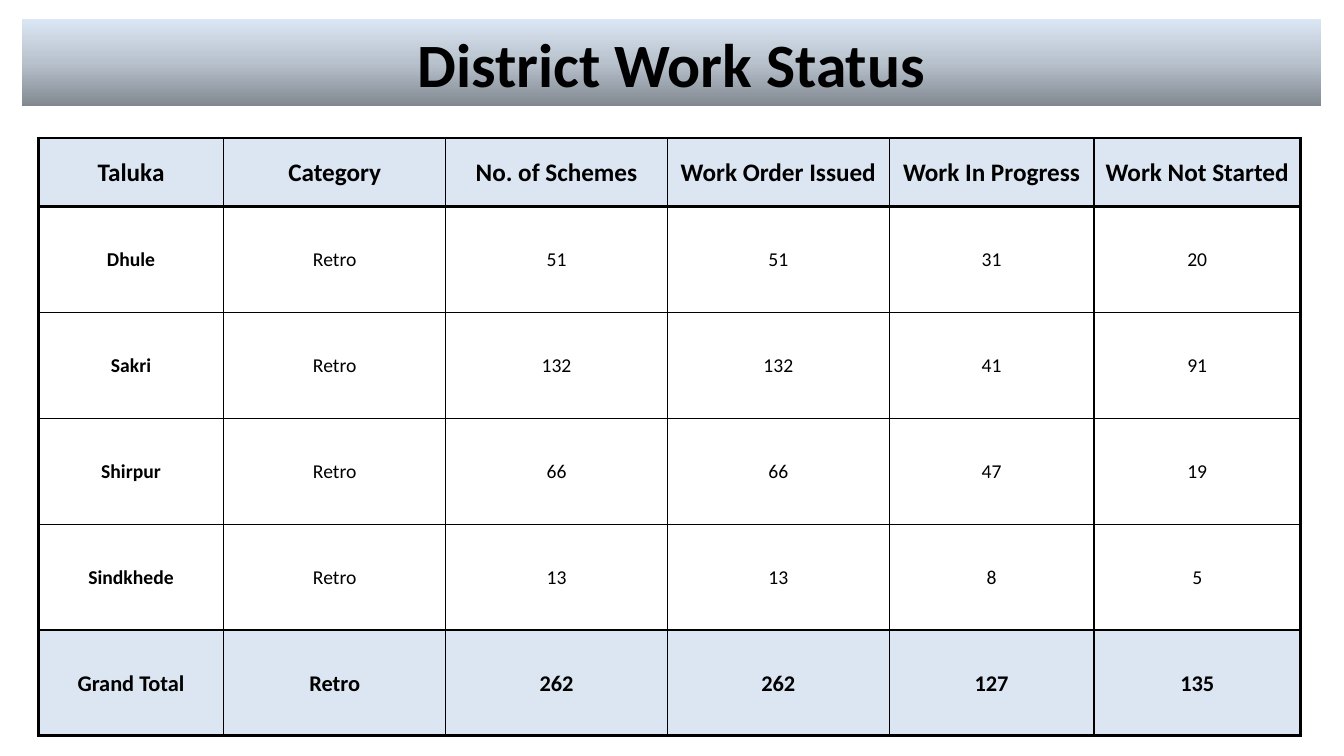
from copy import deepcopy

from lxml import etree
from pptx import Presentation
from pptx.dml.color import RGBColor
from pptx.enum.text import MSO_ANCHOR, PP_ALIGN
from pptx.oxml.ns import qn
from pptx.util import Inches, Pt

MIDDLE = MSO_ANCHOR.MIDDLE
CENTER = PP_ALIGN.CENTER
BLACK = RGBColor(0x00, 0x00, 0x00)
PALE = RGBColor(0xDC, 0xE6, 0xF2)
SHADES = [
    RGBColor(0x81, 0x88, 0x90),
    RGBColor(0xB8, 0xC2, 0xCD),
    RGBColor(0xDA, 0xE6, 0xF3),
]
THIN, THICK = Pt(1), Pt(2.25)

WIDTHS = [1.84, 2.2, 2.2, 2.2, 2.03, 2.05]
HEIGHTS = [0.68] + [1.05] * 5
ROWS = [
    ["Taluka", "Category", "No. of Schemes", "Work Order Issued",
     "Work In Progress", "Work Not Started"],
    ["Dhule", "Retro", "51", "51", "31", "20"],
    ["Sakri", "Retro", "132", "132", "41", "91"],
    ["Shirpur", "Retro", "66", "66", "47", "19"],
    ["Sindkhede", "Retro", "13", "13", "8", "5"],
    ["Grand Total", "Retro", "262", "262", "127", "135"],
]


class Deck:
    """Holds the style and the current slide."""

    def __init__(self):
        self.file = Presentation()
        self.file.slide_width = Inches(13.33)
        self.file.slide_height = Inches(7.5)
        self.slide = self.file.slides.add_slide(self.file.slide_layouts[5])
        self.font = {"name": "Calibri", "bold": True}

    def label(self, frame, text, **form):
        frame.text = text
        para = frame.paragraphs[0]
        para.alignment = CENTER
        for key, value in {**self.font, **form}.items():
            setattr(para.font, key, value)
        para.font.color.rgb = BLACK

    def title(self, text, left, top, width, height):
        bar = self.slide.shapes.title
        place = {"left": left, "top": top, "width": width, "height": height}
        for key, value in place.items():
            setattr(bar, key, Inches(value))
        bar.fill.gradient()
        bar.fill.gradient_angle = 90
        first = next(bar.element.iter(qn("a:gs")))
        first.addnext(deepcopy(first))
        for stop, shade, spot in zip(bar.fill.gradient_stops, SHADES, (0, 0.5, 1)):
            stop.color.rgb = shade
            stop.position = spot
        bar.text_frame.vertical_anchor = MIDDLE
        self.label(bar.text_frame, text, size=Pt(44))

    def edge(self, cell, side, width):
        props = cell._tc.get_or_add_tcPr()
        line = etree.SubElement(props, qn("a:ln" + side), w=str(width))
        fill = etree.SubElement(line, qn("a:solidFill"))
        etree.SubElement(fill, qn("a:srgbClr"), val=str(BLACK))

    def table(self, rows, left, top, widths, heights):
        last, end = len(rows) - 1, len(widths) - 1
        grid = self.slide.shapes.add_table(
            len(rows), len(widths), Inches(left), Inches(top),
            Inches(sum(widths)), Inches(sum(heights))).table
        grid.first_row = grid.horz_banding = False
        for col, width in zip(grid.columns, widths):
            col.width = Inches(width)
        for row, height in zip(grid.rows, heights):
            row.height = Inches(height)
        for r, row in enumerate(rows):
            size = {0: 18, last: 16}.get(r, 14)
            band = r in (0, last)
            for c, text in enumerate(row):
                cell = grid.cell(r, c)
                form = {"margin_left": Inches(0.01), "margin_right": Inches(0.01),
                        "margin_top": Inches(0.01), "margin_bottom": 0,
                        "vertical_anchor": MIDDLE}
                for key, value in form.items():
                    setattr(cell, key, value)
                self.label(cell.text_frame, text, size=Pt(size), bold=band or c == 0)
                heavy = {"L": c == 0, "R": c == end,
                         "T": r in (0, 1, last), "B": r in (0, last - 1, last)}
                for side, bold in heavy.items():
                    self.edge(cell, side, THICK if bold else THIN)
                if band:
                    cell.fill.solid()
                    cell.fill.fore_color.rgb = PALE
                else:
                    cell.fill.background()


def main():
    deck = Deck()
    deck.title("District Work Status", 0.22, 0.19, 12.88, 0.86)
    deck.table(ROWS, 0.38, 1.37, WIDTHS, HEIGHTS)
    deck.file.save("out.pptx")


if __name__ == "__main__":
    main()
